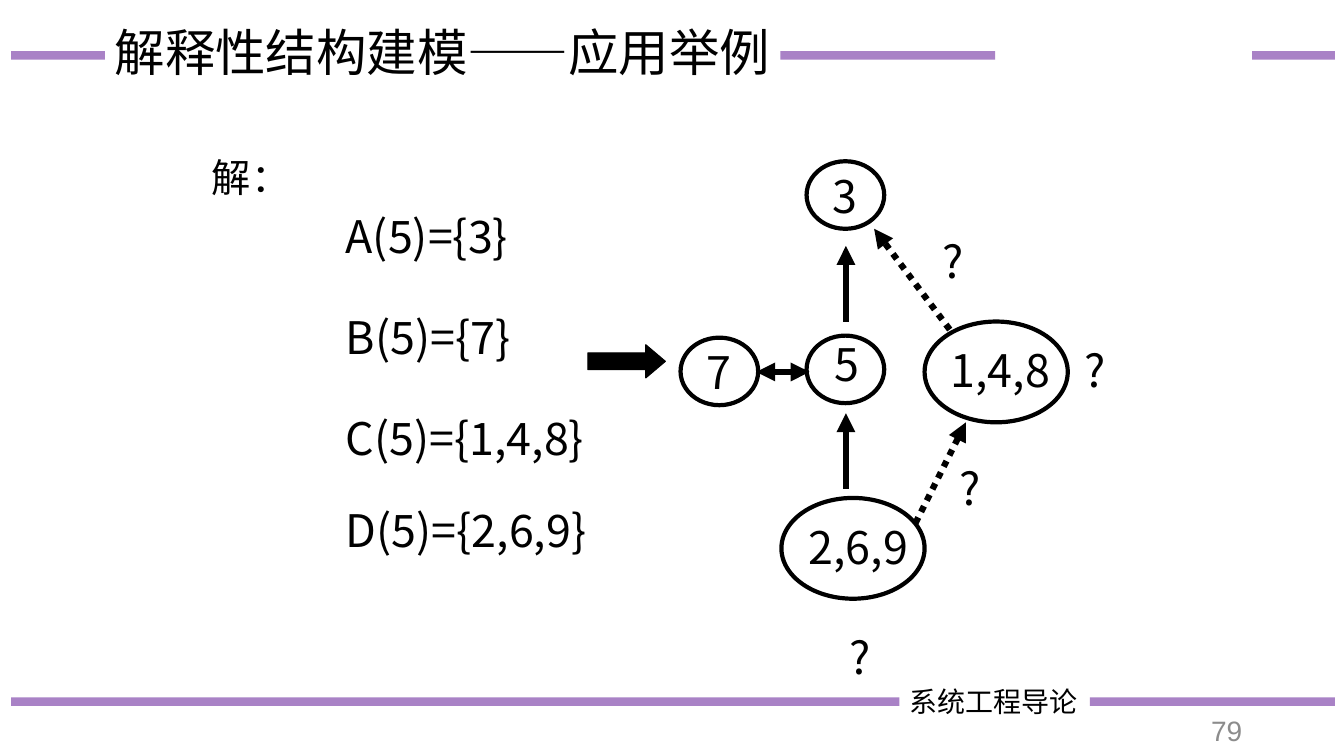
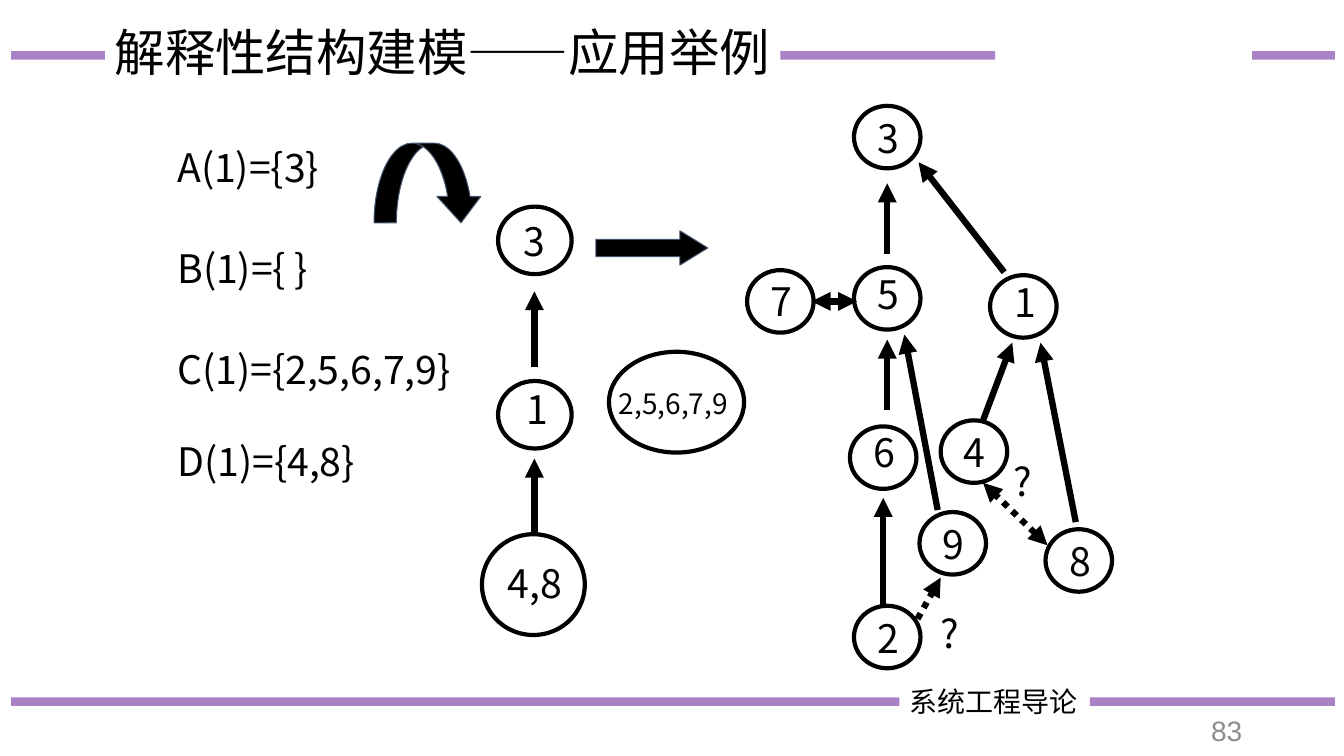
import pptx
import pptx.dml.color
import pptx.enum.dml
import pptx.enum.shapes
import pptx.enum.text
import pptx.oxml.ns
import pptx.util
from lxml import etree

Inches = pptx.util.Inches
color = pptx.dml.color.RGBColor.from_string
qn = pptx.oxml.ns.qn
Shape = pptx.enum.shapes.MSO_SHAPE
Anchor = pptx.enum.text.MSO_ANCHOR
Align = pptx.enum.text.PP_ALIGN

# Shared style
CHINESE_FONT = "Noto Sans CJK SC"
BLACK = "000000"
GRAY = "8C8C8C"
PURPLE = "7030A0"
SLATE = "44546A"
TITLE = "解释性结构建模——应用举例"
FOOTER = "系统工程导论"
BANDS = [(0.11, 1.04, 0.55), (7.74, 9.87, 0.55), (12.42, 13.24, 0.55),
         (0.11, 8.92, 6.96), (10.81, 13.24, 6.96)]
LABEL_HEIGHTS = {32: 0.64, 28: 0.57, 20: 0.44}
LABEL_FRAME = {"word_wrap": False, "vertical_anchor": Anchor.MIDDLE}


def add_text(slide, text, box, size, frame_format, paragraph_format=None,
             font_name=CHINESE_FONT, font_color=BLACK):
    shape = slide.shapes.add_textbox(*[Inches(length) for length in box])
    frame = shape.text_frame
    paragraph = frame.paragraphs[0]
    run = paragraph.add_run()
    run.text = text
    font_format = {"name": font_name, "size": pptx.util.Pt(size)}
    for target, values in ((frame, frame_format), (paragraph, paragraph_format or {}),
                           (run.font, font_format)):
        for name, value in values.items():
            setattr(target, name, value)
    run.font.color.rgb = color(font_color)
    east_asian = etree.SubElement(run.font._element, qn("a:ea"))
    east_asian.set("typeface", font_name)


def add_line(slide, start, end, line_color, width, ends=(), dotted=False, opacity=None):
    connector = slide.shapes.add_connector(
        pptx.enum.shapes.MSO_CONNECTOR.STRAIGHT,
        *[Inches(length) for length in (*start, *end)])
    line = connector.line
    line.color.rgb = color(line_color)
    line.width = pptx.util.Pt(width)
    if dotted:
        line.dash_style = pptx.enum.dml.MSO_LINE.ROUND_DOT
    properties = connector._element.spPr
    if opacity:
        alpha = etree.SubElement(next(properties.iter(qn("a:srgbClr"))), qn("a:alpha"))
        alpha.set("val", str(opacity * 1000))
    for end_name in ends:
        arrowhead = etree.SubElement(properties.find(qn("a:ln")), qn("a:" + end_name))
        arrowhead.set("type", "triangle")
    etree.SubElement(properties, qn("a:effectLst"))


# Arrowheads of the links
TO = ("tailEnd",)
BOTH = ("headEnd", "tailEnd")

# Contents: labels are (text, left, top, width), nodes are grouped by ellipse size,
# links are (start, end, arrowheads, dotted)
diagrams = [
    {
        "number": "79",
        "size": 32,
        "labels": [
            ("A(5)={3}", 3.33, 2.02, 1.98),
            ("B(5)={7}", 3.33, 3.02, 1.95),
            ("C(5)={1,4,8}", 3.33, 4.02, 2.71),
            ("D(5)={2,6,9}", 3.33, 4.93, 2.75),
            ("5", 8.18, 3.29, 0.48),
            ("7", 6.91, 3.37, 0.48),
            ("3", 8.16, 1.62, 0.48),
            ("1,4,8", 9.33, 3.35, 1.21),
            ("2,6,9", 7.92, 5.1, 1.21),
            ("?", 8.33, 6.19, 0.42),
            ("?", 10.66, 3.35, 0.42),
            ("?", 9.25, 2.27, 0.42),
            ("?", 9.42, 4.52, 0.42),
        ],
        "nodes": {
            (0.77, 0.67): [(8, 1.6), (8, 3.33), (6.75, 3.35)],
            (1.42, 1): [(9.17, 3.19), (7.75, 4.94)],
        },
        "links": [
            ((8.39, 3.19), (8.39, 2.44), TO, False),
            ((8.39, 4.85), (8.39, 4.1), TO, False),
            ((7.5, 3.69), (8.03, 3.69), BOTH, False),
            ((9.42, 3.27), (8.67, 2.27), TO, True),
            ((9.08, 5.19), (9.58, 4.19), TO, True),
        ],
        "arrows": [(Shape.RIGHT_ARROW, (5.83, 3.42, 0.77, 0.33), (0.5, 0.59), BLACK)],
    },
    {
        "number": "83",
        "size": 28,
        "labels": [
            ("A(1)={3}", 1.66, 1.37, 1.76),
            ("B(1)={ }", 1.66, 2.37, 1.61),
            ("C(1)={2,5,6,7,9}", 1.66, 3.37, 3.04),
            ("D(1)={4,8}", 1.66, 4.29, 2.1),
            ("3", 5.09, 2.1, 0.43),
            ("1", 5.12, 3.77, 0.43),
            ("4,8", 4.94, 5.5, 0.76),
            ("3", 8.61, 1.08, 0.43),
            ("5", 8.61, 2.63, 0.43),
            ("7", 7.54, 2.7, 0.43),
            ("1", 9.96, 2.71, 0.43),
            ("6", 8.57, 4.2, 0.43),
            ("4", 9.46, 4.2, 0.43),
            ("9", 9.25, 5.11, 0.43),
            ("8", 10.51, 5.28, 0.43),
            ("2", 8.61, 6.04, 0.43),
            ("?", 9.23, 5.99, 0.39),
            ("?", 9.95, 4.49, 0.39),
        ],
        "small_labels": [("2,5,6,7,9", 6.04, 3.78, 1.3)],
        "nodes": {
            (0.73, 0.67): [(4.94, 2.05), (4.94, 3.78)],
            (1.02, 1): [(4.78, 5.3)],
            (1.34, 1): [(6.04, 3.49)],
            (0.66, 0.62): [(8.47, 1.05), (8.47, 2.65), (7.41, 2.68), (9.82, 2.73), (8.43, 4.23),
                           (9.33, 4.17), (9.12, 5.08), (10.37, 5.25), (8.47, 6.01)],
        },
        "links": [
            ((5.3, 3.64), (5.3, 2.89), TO, False),
            ((5.3, 5.3), (5.3, 4.55), TO, False),
            ((8.8, 2.52), (8.8, 1.82), TO, False),
            ((8.05, 2.99), (8.5, 2.99), BOTH, False),
            ((8.8, 4.07), (8.8, 3.37), TO, False),
            ((8.76, 6.01), (8.76, 4.94), TO, False),
            ((9.96, 2.7), (9.11, 1.61), TO, False),
            ((9.75, 4.17), (10.04, 3.4), TO, False),
            ((10.67, 5.18), (10.32, 3.4), TO, False),
            ((9.3, 5.06), (8.97, 3.32), TO, False),
            ((9.1, 6.14), (9.33, 5.73), TO, True),
            ((10.39, 5.41), (9.75, 4.79), BOTH, True),
        ],
        "arrows": [
            (Shape.CURVED_DOWN_ARROW, (3.71, 1.42, 1.08, 0.79), (0.28, 0.55, 0.33), SLATE),
            (Shape.RIGHT_ARROW, (5.91, 2.29, 1.11, 0.34), (0.5, 0.81), SLATE),
        ],
        "heading": None,
    },
]
diagrams[0]["heading"] = ("解：", (1.94, 1.47, 1.1, 0.57))

presentation = pptx.Presentation()
presentation.slide_width = Inches(13.33)
presentation.slide_height = Inches(7.5)

for diagram in diagrams:
    slide = presentation.slides.add_slide(presentation.slide_layouts[6])

    # Bands, footer, page number and title
    for left, right, top in BANDS:
        add_line(slide, (left, top), (right, top), PURPLE, 6, opacity=60)
    add_text(slide, FOOTER, (8.92, 6.74, 2.56, 0.44), 20, {"word_wrap": True})
    add_text(slide, diagram["number"], (11.69, 7.05, 0.73, 0.4), 20,
             {"word_wrap": True, "vertical_anchor": Anchor.MIDDLE},
             {"alignment": Align.RIGHT}, "Arial", GRAY)
    add_text(slide, TITLE, (1.04, -0.18, 6.8, 1.45), 36,
             {"word_wrap": True, "vertical_anchor": Anchor.MIDDLE}, {"line_spacing": 0.9})

    # Heading, sets and node labels
    if diagram["heading"]:
        text, box = diagram["heading"]
        add_text(slide, text, box, 28, {"word_wrap": True}, {"alignment": Align.CENTER})
    for size, labels in ((diagram["size"], diagram["labels"]),
                         (20, diagram.get("small_labels", []))):
        for text, left, top, width in labels:
            add_text(slide, text, (left, top, width, LABEL_HEIGHTS[size]), size, LABEL_FRAME)

    # Node outlines
    for (width, height), corners in diagram["nodes"].items():
        for left, top in corners:
            ellipse = slide.shapes.add_shape(
                Shape.OVAL, Inches(left), Inches(top), Inches(width), Inches(height))
            ellipse.shadow.inherit = False
            ellipse.fill.background()
            ellipse.line.color.rgb = color(BLACK)
            ellipse.line.width = pptx.util.Pt(3)

    # Links between nodes
    for start, end, ends, dotted in diagram["links"]:
        add_line(slide, start, end, BLACK, 4.5, ends, dotted)

    # Block arrows
    for kind, box, adjustments, outline in diagram["arrows"]:
        arrow = slide.shapes.add_shape(kind, *[Inches(length) for length in box])
        arrow.shadow.inherit = False
        for index, adjustment in enumerate(adjustments):
            arrow.adjustments[index] = adjustment
        arrow.fill.solid()
        arrow.fill.fore_color.rgb = color(BLACK)
        arrow.line.color.rgb = color(outline)
        arrow.line.width = pptx.util.Pt(0.75)

presentation.save("out.pptx")
